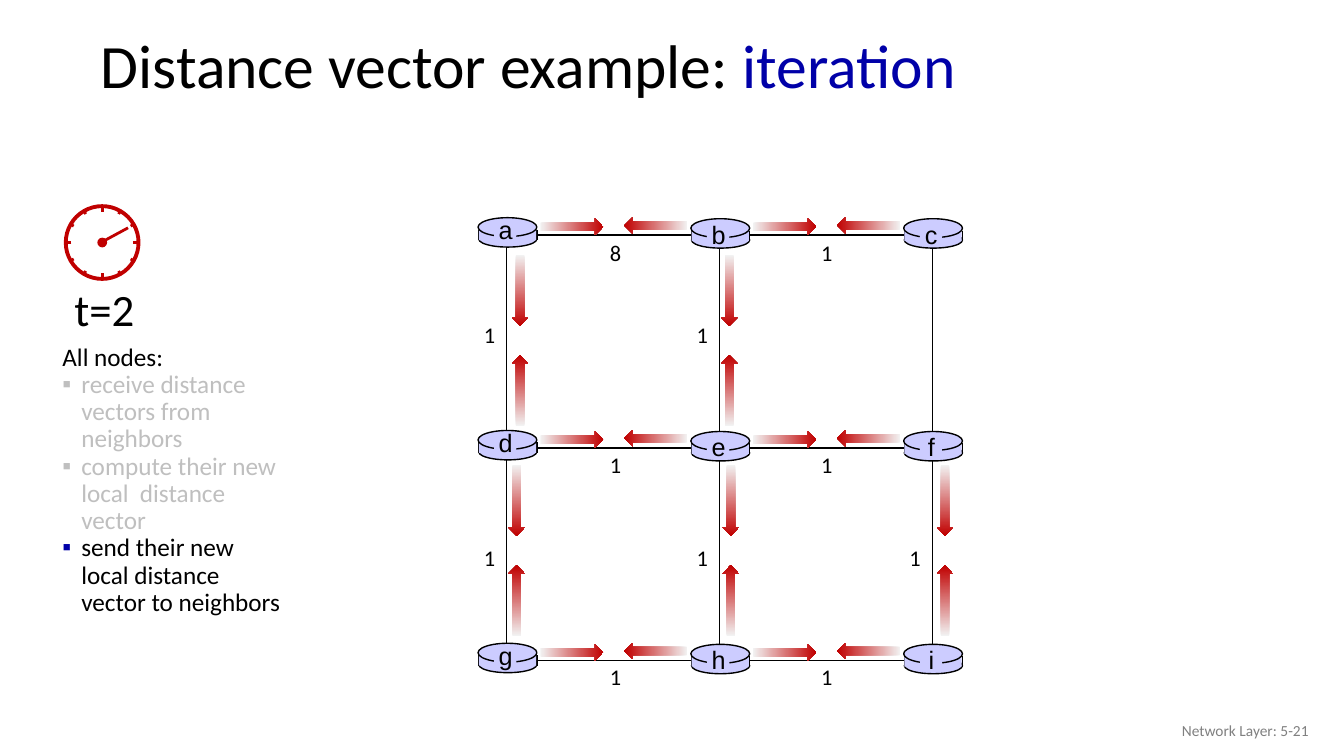
import math

import lxml.etree
import pptx
import pptx.dml.color
import pptx.enum.dml
import pptx.enum.shapes
import pptx.enum.text
import pptx.oxml.ns
import pptx.util

Pt = pptx.util.Pt
SHAPE = pptx.enum.shapes.MSO_SHAPE
ALIGN = pptx.enum.text.PP_ALIGN
ANCHOR = pptx.enum.text.MSO_ANCHOR
BLACK, BLUE, RED, LILAC = "000000", "0000A8", "C00000", "CCCCFF"
PALE, FADED, GRAY = "F2F2F2", "BFBFBF", "808080"
PITCH = 152
LEFT, TOP = 362, 168


def color(value):
    return pptx.dml.color.RGBColor.from_string(value)


class Page:
    font = "Calibri"

    def __init__(self, deck):
        self.slide = deck.slides.add_slide(deck.slide_layouts[6])
        self.shapes = self.slide.shapes

    def begin_group(self):
        self.shapes = self.slide.shapes.add_group_shape().shapes

    def end_group(self):
        self.shapes = self.slide.shapes

    def shape(self, kind, x, y, width, height, fill=None, line=None, weight=1):
        shape = self.shapes.add_shape(kind, Pt(x), Pt(y), Pt(width), Pt(height))
        shape.shadow.inherit = False
        if fill:
            shape.fill.solid()
            shape.fill.fore_color.rgb = color(fill)
        else:
            shape.fill.background()
        if line:
            shape.line.color.rgb = color(line)
            shape.line.width = Pt(weight)
        else:
            shape.line.fill.background()
        return shape

    def line(self, x1, y1, x2, y2, stroke=BLACK, weight=1):
        line = self.shapes.add_connector(
            pptx.enum.shapes.MSO_CONNECTOR.STRAIGHT, Pt(x1), Pt(y1), Pt(x2), Pt(y2))
        line.line.color.rgb = color(stroke)
        line.line.width = Pt(weight)
        properties = line._element.spPr
        lxml.etree.SubElement(properties, pptx.oxml.ns.qn("a:effectLst"))

    def arrow(self, center_x, center_y, length, turn):
        arrow = self.shape(SHAPE.RIGHT_ARROW, center_x - length / 2, center_y - 6, length, 12)
        arrow.rotation = turn
        arrow.fill.gradient()
        arrow.fill.gradient_angle = 0
        for stop, tone in zip(arrow.fill.gradient_stops, (PALE, RED)):
            stop.color.rgb = color(tone)

    def text(self, words, x, y, width, height, size, font=None, tone=BLACK,
             align=ALIGN.LEFT, anchor=ANCHOR.TOP, wrap=True, spacing=None):
        box = self.shapes.add_textbox(Pt(x), Pt(y), Pt(width), Pt(height))
        frame = box.text_frame
        frame.word_wrap = wrap
        frame.vertical_anchor = anchor
        frame.text = words
        for para in frame.paragraphs:
            para.alignment = align
            if spacing:
                para.line_spacing = spacing
            for span in para.runs:
                self.style(span, size, tone, font)
        return frame

    def style(self, span, size, tone, font=None):
        span.font.name = font or self.font
        span.font.size = Pt(size)
        span.font.color.rgb = color(tone)

    def bullet(self, para, tone, indent=13.5):
        properties = para._p.get_or_add_pPr()
        properties.set("marL", str(Pt(indent)))
        properties.set("indent", str(Pt(-indent)))
        qn = pptx.oxml.ns.qn
        holder = lxml.etree.SubElement(properties, qn("a:buClr"))
        lxml.etree.SubElement(holder, qn("a:srgbClr"), val=tone)
        lxml.etree.SubElement(properties, qn("a:buFont"), typeface="Arial")
        lxml.etree.SubElement(properties, qn("a:buChar"), char="▪")

    def router(self, letter, x, y, letter_drop):
        self.begin_group()
        self.shape(SHAPE.OVAL, x + 0.5, y + 9.5, 41.5, 11.5, LILAC, BLACK)
        for side in (x + 0.5, x + 42):
            self.line(side, y + 8.5, side, y + 16)
        self.shape(SHAPE.RECTANGLE, x + 0.5, y + 8.5, 41, 7.5, LILAC)
        self.shape(SHAPE.OVAL, x, y, 42, 13.5, LILAC, BLACK)
        self.shape(SHAPE.RECTANGLE, x + 11.5, y + 3.5, 16, 14.5, LILAC)
        self.text(letter, x + 7.5, y + letter_drop, 24.5, 29, 18, "Arial",
                  align=ALIGN.CENTER, wrap=False)
        self.end_group()

    def clock(self, x, y):
        self.begin_group()
        self.text("t=2", 46, 197.5, 58.5, 46, 32, wrap=False)
        self.shape(SHAPE.OVAL, x - 26, y - 26, 52, 52, line=RED, weight=2.75)
        for hour in range(12):
            across = math.cos(math.radians(30 * hour))
            down = math.sin(math.radians(30 * hour))
            inner = 23.5 if hour % 3 else 22
            self.line(x + inner * across, y + inner * down,
                      x + 27 * across, y + 27 * down, RED, 2)
        self.shape(SHAPE.OVAL, x - 3.5, y - 3.5, 7, 7, RED)
        self.end_group()
        self.line(x + 18.5, y - 10.5, x, y - 0.5, RED, 2)


def draw_network(page):
    page.line(LEFT + PITCH, TOP + 2 * PITCH, LEFT + PITCH, TOP)
    page.line(LEFT, TOP + PITCH, LEFT + 2 * PITCH, TOP + PITCH)
    page.shape(SHAPE.RECTANGLE, LEFT, TOP, 2 * PITCH, 2 * PITCH, line=BLACK)

    for index, letter in enumerate("abcdefghi"):
        row, column = divmod(index, 3)
        page.router(letter, LEFT - 20.5 + PITCH * column,
                    TOP - (11.75 if column else 12.5) + PITCH * row,
                    -3.5 if column else -5.75)

    for row, costs in enumerate(("81", "11", "11")):
        for column, cost in enumerate(costs):
            x, y = LEFT + PITCH * column, TOP + PITCH * row
            page.text(cost, x + 66.5 - column, y - 1 - row / 2, 23.5, 26.5, 16)
            page.arrow(x + 46.5, y - 6, 45, 0)
            page.arrow(x + 106.5, y - 7, 45, 180)

    vertical_links = [(0, 0, 9.5), (1, 0, 7), (0, 1, 7), (1, 1, 8), (2, 1, 9)]
    for column, row, gap in vertical_links:
        x, y = LEFT + PITCH * column, TOP + 150 * row
        page.text("1", x - 23.5, TOP + 58 + 159 * row, 23.5, 26.5, 16)
        page.arrow(x + gap, y + 39.5, 50.5, 90)
        page.arrow(x + gap, y + 111, 50.5, 270)


def main():
    deck = pptx.Presentation()
    deck.slide_width, deck.slide_height = Pt(960), Pt(540)
    page = Page(deck)

    title = page.text("Distance vector example: ", 65, 13.5, 828, 70.5, 44,
                      anchor=ANCHOR.MIDDLE, spacing=0.9)
    accent = title.paragraphs[0].add_run()
    accent.text = "iteration"
    page.style(accent, 44, BLUE)
    page.text("Network Layer: 5-21", 726, 507.5, 216, 29, 11, tone=GRAY,
              align=ALIGN.RIGHT, anchor=ANCHOR.MIDDLE)

    draw_network(page)

    steps = [("receive distance vectors from neighbors", FADED, FADED),
             ("compute their new local  distance vector", FADED, FADED),
             ("send their new local distance vector to neighbors", BLACK, BLUE)]
    words = "\n".join(["All nodes:"] + [step[0] for step in steps])
    frame = page.text(words, 37.5, 242.5, 173, 204, 18, spacing=0.9)
    for para, (_, tone, marker) in zip(frame.paragraphs[1:], steps):
        para.runs[0].font.color.rgb = color(tone)
        page.bullet(para, marker)

    page.clock(73, 173.25)
    deck.save("out.pptx")


if __name__ == "__main__":
    main()
